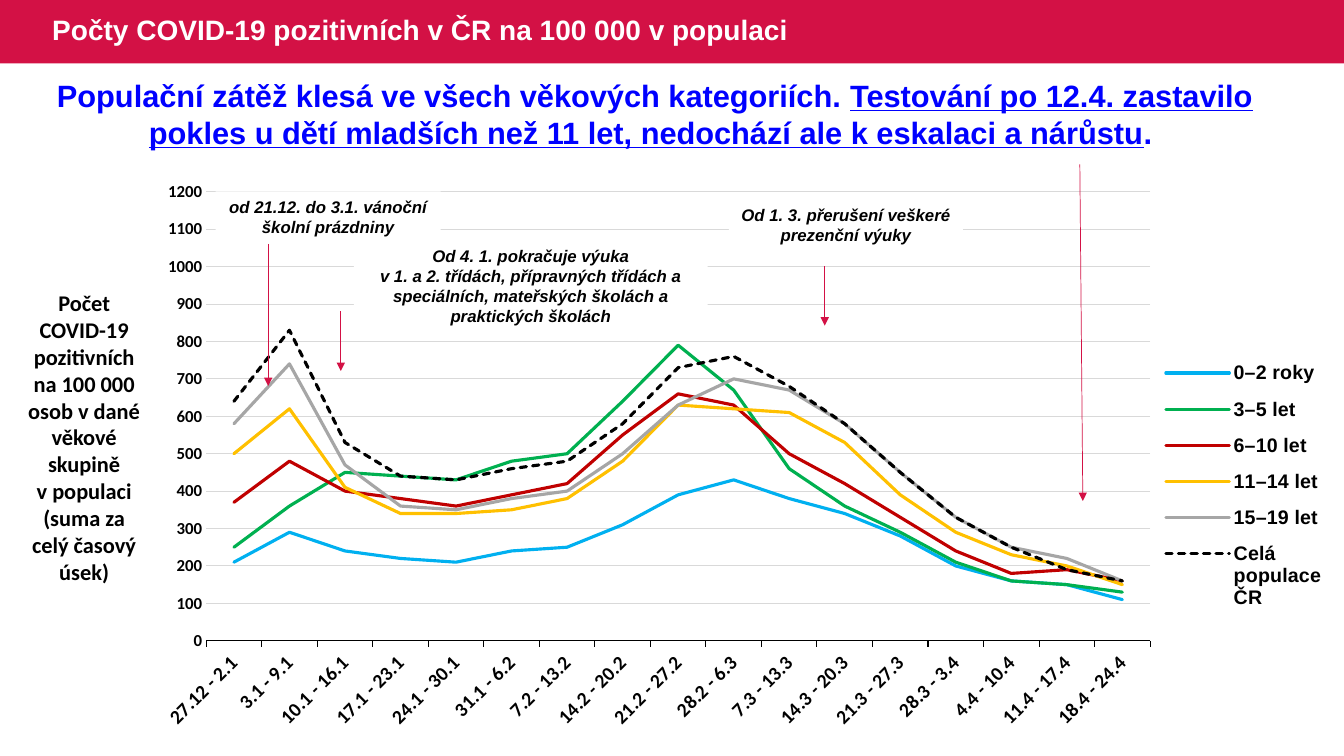
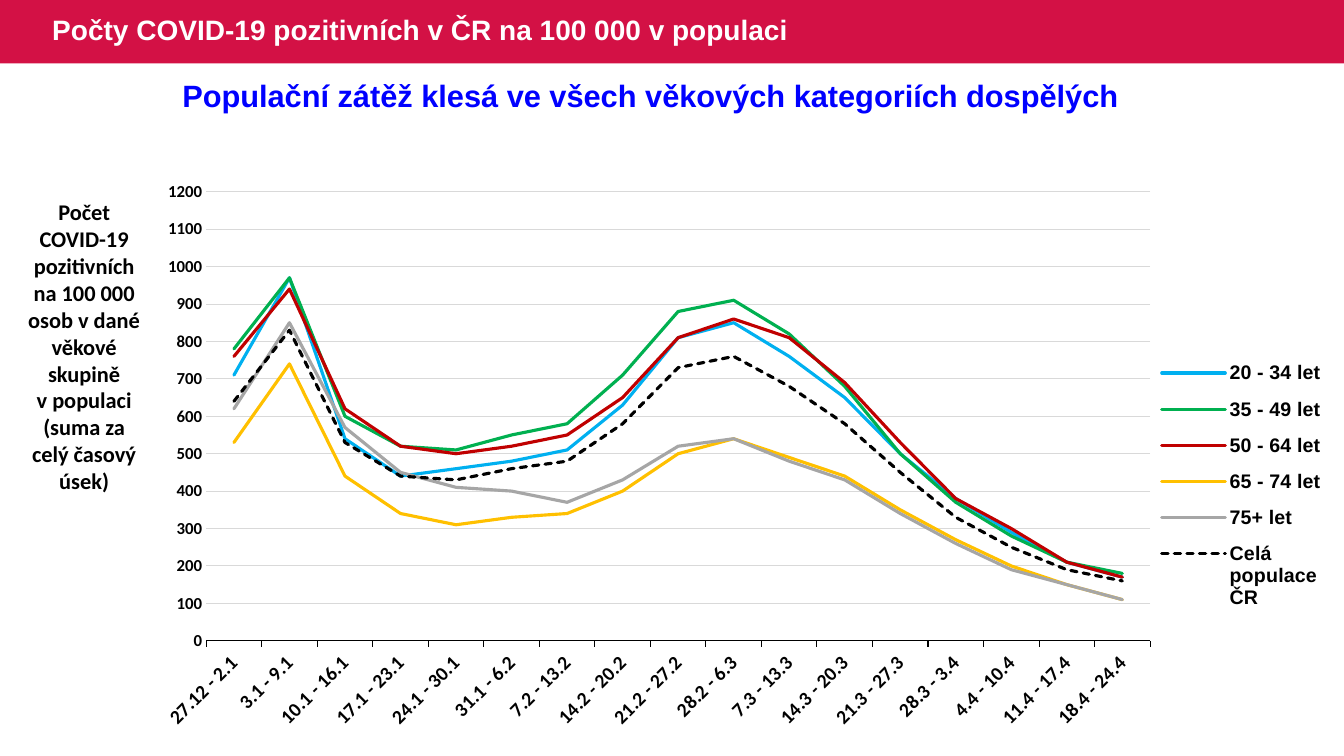
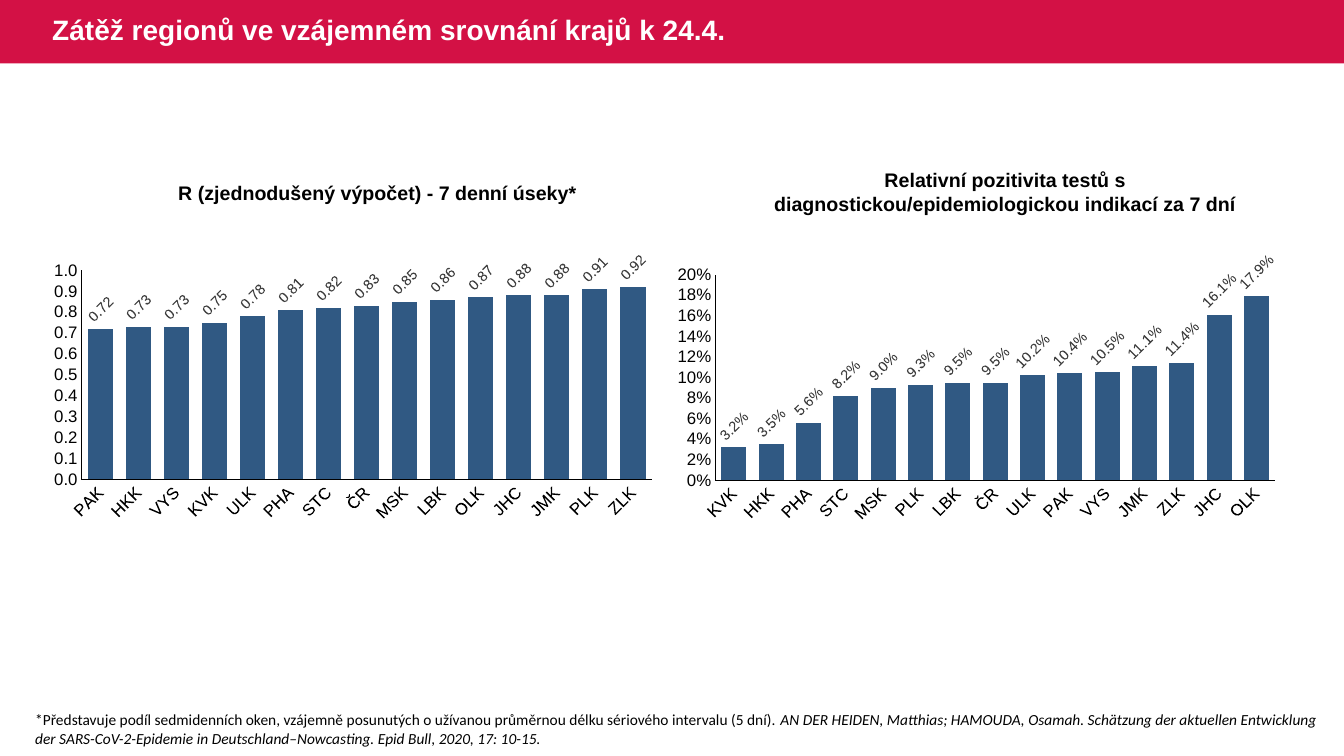
from dataclasses import dataclass

from lxml import etree
from pptx import Presentation
from pptx import util as u
from pptx.chart.data import CategoryChartData
from pptx.dml.color import RGBColor
from pptx.enum import chart as ch, dml, shapes, text
from pptx.oxml.ns import qn


@dataclass(frozen=True)
class Theme:
    # Colours
    crimson: str = "D31145"
    blue: str = "0000FF"
    bar: str = "305983"
    black: str = "000000"
    white: str = "FFFFFF"
    grid: str = "D9D9D9"
    label: str = "404040"
    ages: tuple = ("00B0F0", "00B050", "C00000", "FFC000", "A6A6A6", "000000")
    # Fonts and type sizes
    sans: str = "Arial"
    body: str = "Calibri"
    headline_size: float = 22
    title_size: float = 20
    axis_note_size: float = 16
    large: float = 14
    small: float = 12
    source_size: float = 11
    value_size: float = 10.5


T = Theme()
WIDTH, HEIGHT, BAND_HEIGHT = 13.33, 7.5, 0.63
NBSP = chr(160)  # keeps short words and digit groups together

TREND_TITLE = "Počty COVID-19 pozitivních v ČR na 100 000 v populaci"
AXIS_NOTE = (f"Počet COVID-19 pozitivních na{NBSP}100{NBSP}000 osob v dané věkové "
             f"skupině v{NBSP}populaci (suma za celý časový úsek)")
WEEKS = ["27.12 - 2.1", "3.1 - 9.1", "10.1 - 16.1", "17.1 - 23.1", "24.1 - 30.1",
         "31.1 - 6.2", "7.2 - 13.2", "14.2 - 20.2", "21.2 - 27.2", "28.2 - 6.3",
         "7.3 - 13.3", "14.3 - 20.3", "21.3 - 27.3", "28.3 - 3.4", "4.4 - 10.4",
         "11.4 - 17.4", "18.4 - 24.4"]
POPULATION = {"Celá populace ČR": [640, 830, 530, 440, 430, 460, 480, 580, 730, 760,
                                   680, 580, 450, 330, 250, 190, 160]}
CHILDREN = {
    "0–2 roky": [210, 290, 240, 220, 210, 240, 250, 310, 390, 430, 380, 340, 280,
                 200, 160, 150, 110],
    "3–5 let": [250, 360, 450, 440, 430, 480, 500, 640, 790, 670, 460, 360, 290,
                210, 160, 150, 130],
    "6–10 let": [370, 480, 400, 380, 360, 390, 420, 550, 660, 630, 500, 420, 330,
                 240, 180, 190, 160],
    "11–14 let": [500, 620, 410, 340, 340, 350, 380, 480, 630, 620, 610, 530, 390,
                  290, 230, 200, 150],
    "15–19 let": [580, 740, 470, 360, 350, 380, 400, 500, 630, 700, 670, 580, 450,
                  330, 250, 220, 160],
}
ADULTS = {
    "20 - 34 let": [710, 970, 540, 440, 460, 480, 510, 630, 810, 850, 760, 650, 500,
                    380, 290, 210, 170],
    "35 - 49 let": [780, 970, 600, 520, 510, 550, 580, 710, 880, 910, 820, 680, 500,
                    370, 280, 210, 180],
    "50 - 64 let": [760, 940, 620, 520, 500, 520, 550, 650, 810, 860, 810, 690, 530,
                    380, 300, 210, 170],
    "65 - 74 let": [530, 740, 440, 340, 310, 330, 340, 400, 500, 540, 490, 440, 350,
                    270, 200, 150, 110],
    "75+ let": [620, 850, 570, 450, 410, 400, 370, 430, 520, 540, 480, 430, 340,
                260, 190, 150, 110],
}
REPRODUCTION = {"PAK": 0.72, "HKK": 0.73, "VYS": 0.73, "KVK": 0.75, "ULK": 0.78,
                "PHA": 0.81, "STC": 0.82, "ČR": 0.83, "MSK": 0.85, "LBK": 0.86,
                "OLK": 0.87, "JHC": 0.88, "JMK": 0.88, "PLK": 0.91, "ZLK": 0.92}
POSITIVITY = {"KVK": 0.032, "HKK": 0.035, "PHA": 0.056, "STC": 0.082, "MSK": 0.09,
              "PLK": 0.093, "LBK": 0.095, "ČR": 0.095, "ULK": 0.102, "PAK": 0.104,
              "VYS": 0.105, "JMK": 0.111, "ZLK": 0.114, "JHC": 0.161, "OLK": 0.179}


# Formatting helpers
def rgb(colour):
    return RGBColor.from_string(colour)


def inches(*lengths):
    return [u.Inches(length) for length in lengths]


def set_all(target, values):
    for name, value in values.items():
        setattr(target, name, value)


def set_font(font, size, colour=T.black, name=T.sans, **styles):
    set_all(font, {"size": u.Pt(size), "name": name, **styles})
    font.color.rgb = rgb(colour)


def set_line(line, colour, width):
    line.color.rgb = rgb(colour)
    line.width = u.Pt(width)


def place(part, box, index, **modes):
    """Lay out a chart part by hand; box is x, y, w, h as shares of the chart."""
    for old in part.findall(qn("c:layout")):
        part.remove(old)
    layout = etree.Element(qn("c:layout"))
    manual = etree.SubElement(layout, qn("c:manualLayout"))
    modes.update(xMode="edge", yMode="edge", **dict(zip("xywh", map(str, box))))
    for tag, value in modes.items():
        etree.SubElement(manual, qn("c:" + tag)).set("val", value)
    part.insert(index, layout)


# Text, callouts and arrows
def fill_text(frame, paragraphs, size, align=text.PP_ALIGN.CENTER, **font):
    """Each paragraph is a list of (wording, extra font values) runs."""
    frame.word_wrap = True
    for number, runs in enumerate(paragraphs):
        paragraph = frame.add_paragraph() if number else frame.paragraphs[0]
        paragraph.alignment = align
        for wording, extra in runs:
            run = paragraph.add_run()
            run.text = wording
            set_font(run.font, size, **{**font, **extra})


def add_text(slide, box, runs, size, **style):
    frame = slide.shapes.add_textbox(*inches(*box)).text_frame
    fill_text(frame, [runs], size, **style)
    return frame


def add_rect(slide, box, colour):
    rect = slide.shapes.add_shape(shapes.MSO_SHAPE.RECTANGLE, *inches(*box))
    rect.shadow.inherit = False
    rect.fill.solid()
    rect.fill.fore_color.rgb = rgb(colour)
    rect.line.fill.background()
    return rect


def add_callout(slide, box, *lines):
    frame = add_rect(slide, box, T.white).text_frame
    fill_text(frame, [[(line, {})] for line in lines], T.small, bold=True, italic=True)


def add_arrow(slide, start, end):
    arrow = slide.shapes.add_connector(shapes.MSO_CONNECTOR.STRAIGHT,
                                       *inches(*start, *end))
    set_line(arrow.line, T.crimson, 0.5)
    properties = arrow.element.spPr
    etree.SubElement(properties.find(qn("a:ln")), qn("a:tailEnd")).set("type", "triangle")
    etree.SubElement(properties, qn("a:effectLst"))


# Charts
def add_chart(slide, kind, box, categories, series, plot_box):
    data = CategoryChartData()
    data.categories = categories
    for name, values in series.items():
        data.add_series(name, values)
    chart = slide.shapes.add_chart(kind, *inches(*box), data).chart
    chart.has_title = False
    chart.plots[0].vary_by_categories = False
    place(chart.element.chart.plotArea, plot_box, 0, layoutTarget="inner")
    return chart


def format_axes(chart, top, step, number_format, category_size, **font):
    value_axis, category_axis = chart.value_axis, chart.category_axis
    set_all(value_axis, {"minimum_scale": 0, "maximum_scale": top, "major_unit": step,
                         "major_tick_mark": ch.XL_TICK_MARK.NONE})
    set_all(value_axis.tick_labels, {"number_format": number_format,
                                     "number_format_is_linked": False})
    set_font(value_axis.tick_labels.font, T.small, **font)
    set_font(category_axis.tick_labels.font, category_size, **font)
    set_line(category_axis.format.line, T.black, 0.75)
    slant(chart, "c:catAx")


def slant(chart, part):
    """Turn the text of an axis or of the value labels by 45 degrees."""
    for body in chart.element.xpath(f".//{part}/c:txPr/a:bodyPr"):
        body.set("rot", "-2700000")
        body.set("vert", "horz")


def add_trend_chart(slide, groups):
    chart = add_chart(slide, ch.XL_CHART_TYPE.LINE, (1.52, 1.75, 11.66, 5.87), WEEKS,
                      {**groups, **POPULATION}, (0.045, 0.026, 0.803, 0.759))
    set_font(chart.font, T.large, bold=True)
    format_axes(chart, 1200, 100, "General", T.large, name=T.body, bold=True)
    chart.value_axis.format.line.fill.background()
    set_line(chart.value_axis.major_gridlines.format.line, T.grid, 0.75)
    for age_group, colour in zip(chart.plots[0].series, T.ages):
        age_group.smooth = False
        set_line(age_group.format.line, colour, 2.25)
    age_group.format.line.dash_style = dml.MSO_LINE.SQUARE_DOT
    for stroke in chart.element.xpath(".//c:ser/c:spPr/a:ln"):
        stroke.set("cap", "rnd")
    # Legend beside the plot
    chart.has_legend = True
    set_all(chart.legend, {"position": ch.XL_LEGEND_POSITION.RIGHT,
                           "include_in_layout": False})
    set_font(chart.legend.font, T.large, bold=True)
    place(chart.element.xpath(".//c:legend")[0], (0.855, 0.29, 0.145, 0.465), 1)


def add_region_chart(slide, left, regions, top, step, axis_format, label_format, plot_box):
    chart = add_chart(slide, ch.XL_CHART_TYPE.COLUMN_CLUSTERED, (left, 2.49, 6.17, 2.73),
                      list(regions), {"Series 1": list(regions.values())}, plot_box)
    chart.has_legend = False
    set_font(chart.font, 10)
    format_axes(chart, top, step, axis_format, T.small)
    chart.value_axis.has_major_gridlines = False
    chart.category_axis.major_tick_mark = ch.XL_TICK_MARK.NONE
    set_line(chart.value_axis.format.line, T.black, 0.75)
    bars = chart.plots[0]
    set_all(bars, {"gap_width": 50, "overlap": -27, "has_data_labels": True})
    fill = bars.series[0].format.fill
    fill.solid()
    fill.fore_color.rgb = rgb(T.bar)
    set_all(bars.data_labels, {"show_value": True, "number_format": label_format,
                               "number_format_is_linked": False,
                               "position": ch.XL_LABEL_POSITION.OUTSIDE_END})
    set_font(bars.data_labels.font, T.value_size, T.label)
    slant(chart, "c:dLbls")


# Slides
def add_page(deck, title):
    slide = deck.slides.add_slide(deck.slide_layouts[6])
    add_rect(slide, (0, 0, WIDTH, BAND_HEIGHT), T.crimson)
    frame = add_text(slide, (0.42, 0, 8.37, BAND_HEIGHT), [(title, {})], T.title_size,
                     align=text.PP_ALIGN.LEFT, colour=T.white, bold=True)
    frame.vertical_anchor = text.MSO_ANCHOR.MIDDLE
    frame.paragraphs[0].line_spacing = 0.9
    return slide


def add_trend_page(deck, groups, headline, note_top):
    slide = add_page(deck, TREND_TITLE)
    add_trend_chart(slide, groups)
    add_text(slide, (0.15, note_top, 1.37, 3.06), [(AXIS_NOTE, {})], T.axis_note_size,
             name=T.body, bold=True)
    add_text(slide, (0.29, 0.71, 12.41, 0.84), headline, T.headline_size,
             colour=T.blue, bold=True)
    return slide


def add_children_page(deck):
    headline = [("Populační zátěž klesá ve všech věkových kategoriích. ", {}),
                ("Testování po 12.4. zastavilo pokles u dětí mladších než 11 let, "
                 "nedochází ale k eskalaci a nárůstu", {"underline": True}),
                (". ", {})]
    slide = add_trend_page(deck, CHILDREN, headline, 2.82)
    add_callout(slide, (2.14, 1.9, 2.23, 0.5), "od 21.12. do 3.1. vánoční školní prázdniny")
    add_callout(slide, (7.23, 1.98, 2.32, 0.5), "Od 1. 3. přerušení veškeré prezenční výuky")
    add_callout(slide, (3.51, 2.38, 3.51, 0.91), "Od 4. 1. pokračuje výuka",
                "v 1. a 2. třídách, přípravných třídách a speciálních, "
                "mateřských školách a praktických školách")
    for start, end in (((2.66, 2.42), (2.66, 3.83)), ((3.38, 3.09), (3.38, 3.68)),
                       ((8.18, 2.64), (8.18, 3.23)), ((10.71, 1.63), (10.74, 4.97))):
        add_arrow(slide, start, end)


def add_regions_page(deck):
    slide = add_page(deck, "Zátěž regionů ve vzájemném srovnání krajů k 24.4.")
    for box, heading in (
            ((1.32, 1.75, 4.85, 0.34), "R (zjednodušený výpočet) - 7 denní úseky*"),
            ((7.45, 1.62, 5.04, 0.57), "Relativní pozitivita testů s "
             "diagnostickou/epidemiologickou indikací za 7 dní")):
        add_text(slide, box, [(heading, {})], T.large, bold=True)
    add_region_chart(slide, 6.6, POSITIVITY, 0.2, 0.02, "0%", "0.0%",
                     (0.08, 0.08, 0.9, 0.753))
    add_region_chart(slide, 0.42, REPRODUCTION, 1, 0.1, "#,##0.0", "#,##0.00",
                     (0.063, 0.067, 0.917, 0.763))
    footnote = [("*Představuje podíl sedmidenních oken, vzájemně posunutých o užívanou "
                 "průměrnou délku sériového intervalu (5 dní). ", {}),
                ("AN DER HEIDEN, Matthias; HAMOUDA, Osamah. Schätzung der aktuellen "
                 "Entwicklung der SARS-CoV-2-Epidemie in Deutschland–Nowcasting. "
                 "Epid Bull, 2020, 17: 10-15.", {"italic": True})]
    add_text(slide, (0.25, 7, 13.08, 0.47), footnote, T.source_size,
             align=text.PP_ALIGN.LEFT, name=T.body)


def main():
    deck = Presentation()
    deck.slide_width, deck.slide_height = inches(WIDTH, HEIGHT)
    add_children_page(deck)
    add_trend_page(deck, ADULTS, [("Populační zátěž klesá ve všech věkových "
                                   "kategoriích dospělých ", {})], 1.92)
    add_regions_page(deck)
    deck.save("out.pptx")


if __name__ == "__main__":
    main()
